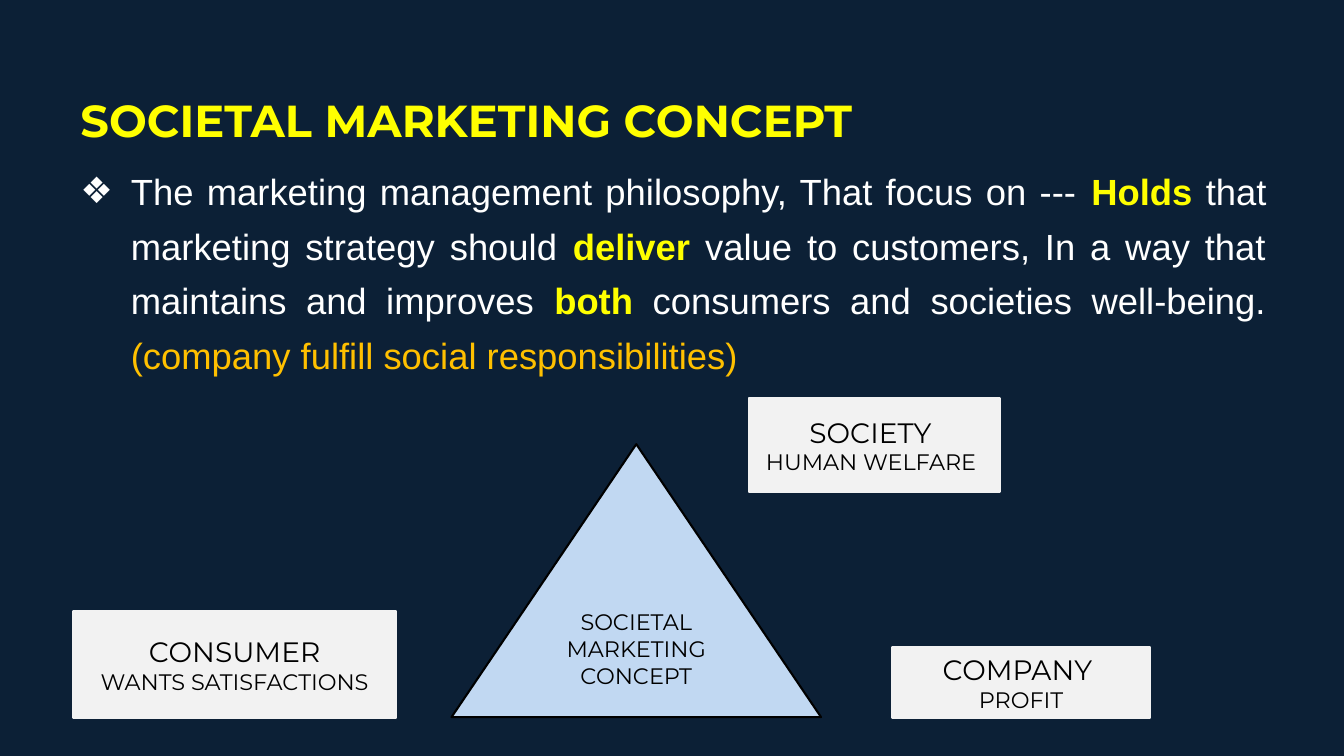
from lxml.etree import SubElement
from pptx import Presentation
from pptx.dml.color import RGBColor
from pptx.enum.shapes import MSO_SHAPE as SHAPE
from pptx.enum.text import MSO_ANCHOR as ANCHOR, MSO_AUTO_SIZE as AUTO, PP_ALIGN as ALIGN
from pptx.oxml.ns import qn
from pptx.util import Pt

PX = 9525  # EMU per px; the slide is 1280 x 720 px
NAVY = RGBColor(0x0C, 0x20, 0x36)
YELLOW = RGBColor(0xFF, 0xFF, 0x00)
AMBER = RGBColor(0xFF, 0xC0, 0x00)
WHITE = RGBColor(0xFF, 0xFF, 0xFF)
BLACK = RGBColor(0x00, 0x00, 0x00)
PALE_BLUE = RGBColor(0xC1, 0xD8, 0xF2)
PALE_GREY = RGBColor(0xF2, 0xF2, 0xF2)
HEAD_FONT, BODY_FONT = "Montserrat", "Arial"


def emu(box):
    return [v * PX for v in box]


def add_text(p, text, size=16, font=HEAD_FONT, color=BLACK, bold=False):
    r = p.add_run()
    r.text = text
    r.font.size = Pt(size)
    r.font.name = font
    r.font.color.rgb = color
    r.font.bold = bold


def set_up_placeholder(sp, box, indent, hanging=0):
    """Place the placeholder and return its justified first paragraph."""
    sp.left, sp.top, sp.width, sp.height = emu(box)
    tf = sp.text_frame
    tf.word_wrap = True
    tf.auto_size = AUTO.NONE
    tf.vertical_anchor = ANCHOR.TOP
    p = tf.paragraphs[0]
    p.alignment = ALIGN.JUSTIFY
    p.line_spacing = 1.25
    p.space_before = Pt(0)
    pPr = p._p.get_or_add_pPr()
    pPr.set("marL", str(indent * PX))
    pPr.set("indent", str(-hanging * PX))
    return p


def add_heading(s, box):
    p = set_up_placeholder(s.shapes.title, box, indent=4)
    add_text(p, "SOCIETAL MARKETING CONCEPT", size=32, color=YELLOW, bold=True)


def add_definition(s, box):
    p = set_up_placeholder(s.placeholders[1], box, indent=52, hanging=48)
    SubElement(p._p.get_or_add_pPr(), qn("a:buChar"), char="❖")
    for text, color in [
        ("The marketing management philosophy, That focus on --- ", WHITE),
        ("Holds", YELLOW),
        (" that marketing strategy should ", WHITE),
        ("deliver", YELLOW),
        (" value to customers, In a way that maintains and improves ", WHITE),
        ("both", YELLOW),
        (" consumers and societies well-being. ", WHITE),
        ("(company fulfill social responsibilities)", AMBER),
    ]:
        add_text(p, text, size=26, font=BODY_FONT, color=color, bold=color == YELLOW)


def add_figure(s, kind, box, fill, line):
    """Add an outlined shape and return its centred first paragraph."""
    sp = s.shapes.add_shape(kind, *emu(box))
    sp.shadow.inherit = False
    sp.fill.solid()
    sp.fill.fore_color.rgb = fill
    sp.line.color.rgb = line
    sp.line.width = Pt(1.5)
    tf = sp.text_frame
    tf.word_wrap = True
    tf.vertical_anchor = ANCHOR.MIDDLE
    tf.paragraphs[0].alignment = ALIGN.CENTER
    return sp, tf.paragraphs[0]


def add_corner(s, box, party, interest):
    sp, p = add_figure(s, SHAPE.RECTANGLE, box, PALE_GREY, PALE_GREY)
    add_text(p, party, size=20)
    p = sp.text_frame.add_paragraph()
    p.alignment = ALIGN.CENTER
    add_text(p, interest)


def add_triangle_diagram(s, box):
    x, y, w, h = box
    _, p = add_figure(s, SHAPE.ISOSCELES_TRIANGLE, (x + 360, y + 44, 352, 260),
                      PALE_BLUE, BLACK)
    add_text(p, "SOCIETAL MARKETING CONCEPT")
    for corner, party, interest in [
        ((x + 780, y + h - 68, 245, 68), "COMPANY ", "PROFIT"),
        ((x + 643, y, 239, 90), "SOCIETY ", "HUMAN WELFARE "),
        ((x, y + h - 102, 307, 102), "CONSUMER", "WANTS SATISFACTIONS"),
    ]:
        add_corner(s, corner, party, interest)


def main():
    prs = Presentation()
    prs.slide_width, prs.slide_height = emu((1280, 720))
    s = prs.slides.add_slide(prs.slide_layouts[1])
    s.background.fill.solid()
    s.background.fill.fore_color.rgb = NAVY
    add_heading(s, (63, 71, 1153, 75))
    add_definition(s, (63, 146, 1153, 220))
    add_triangle_diagram(s, (70, 379, 1025, 305))
    prs.save("out.pptx")


if __name__ == "__main__":
    main()
